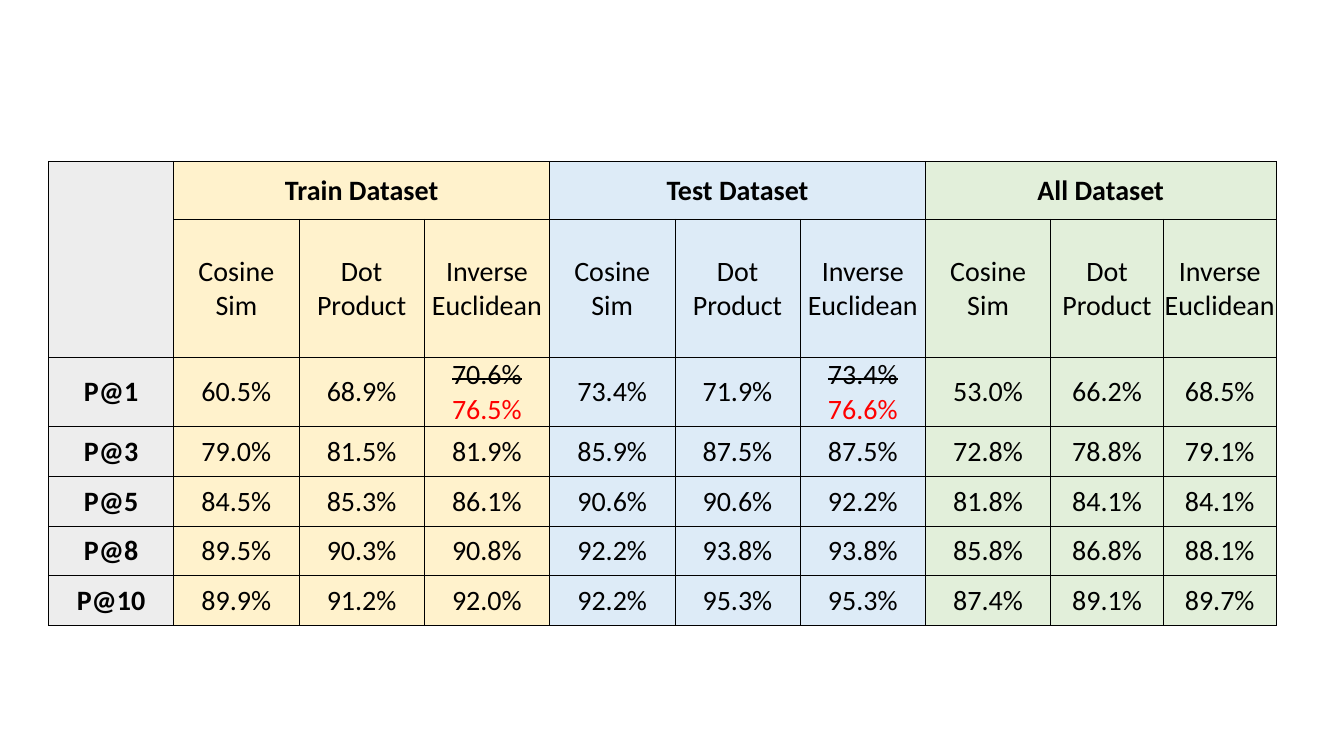
from dataclasses import dataclass

from lxml import etree
from pptx import Presentation
from pptx.dml.color import RGBColor
from pptx.enum.text import MSO_ANCHOR, PP_ALIGN
from pptx.oxml.ns import qn
from pptx.table import Table, _Cell
from pptx.util import Pt

MIDDLE = MSO_ANCHOR.MIDDLE
CENTER = PP_ALIGN.CENTER

BLACK = RGBColor(0x00, 0x00, 0x00)
RED = RGBColor(0xFF, 0x00, 0x00)
GRAY = RGBColor(0xED, 0xED, 0xED)
YELLOW = RGBColor(0xFF, 0xF2, 0xCC)
BLUE = RGBColor(0xDD, 0xEB, 0xF7)
GREEN = RGBColor(0xE2, 0xEF, 0xDA)

FONT_NAME = "Calibri"
FONT_SIZE = Pt(20)
INSET = Pt(0.6)
BORDER_WIDTH = Pt(0.5)
BLANK_LAYOUT = 6
TABLE_LEFT, TABLE_TOP, TABLE_HEIGHT = Pt(34.6), Pt(115.2), Pt(330.5)
COLUMN_WIDTHS = [Pt(89.5)] * 8 + [Pt(80.5)] * 2
ROW_HEIGHTS = [Pt(41.4), Pt(98.6)] + [Pt(35.5)] * 5


@dataclass(frozen=True)
class Dataset:
    name: str
    fill: RGBColor


@dataclass(frozen=True)
class Correction:
    old: str
    new: str


@dataclass(frozen=True)
class PrecisionRow:
    label: str
    values: list[str | Correction]


METRICS = ["Cosine Sim", "Dot Product", "Inverse Euclidean"]
DATASETS = [
    Dataset("Train Dataset", YELLOW),
    Dataset("Test Dataset", BLUE),
    Dataset("All Dataset", GREEN),
]
PRECISION_ROWS = [
    PrecisionRow("P@1", ["60.5%", "68.9%", Correction("70.6%", "76.5%"),
                         "73.4%", "71.9%", Correction("73.4%", "76.6%"),
                         "53.0%", "66.2%", "68.5%"]),
    PrecisionRow("P@3", ["79.0%", "81.5%", "81.9%", "85.9%", "87.5%", "87.5%",
                         "72.8%", "78.8%", "79.1%"]),
    PrecisionRow("P@5", ["84.5%", "85.3%", "86.1%", "90.6%", "90.6%", "92.2%",
                         "81.8%", "84.1%", "84.1%"]),
    PrecisionRow("P@8", ["89.5%", "90.3%", "90.8%", "92.2%", "93.8%", "93.8%",
                         "85.8%", "86.8%", "88.1%"]),
    PrecisionRow("P@10", ["89.9%", "91.2%", "92.0%", "92.2%", "95.3%", "95.3%",
                          "87.4%", "89.1%", "89.7%"]),
]


def add_borders(cell: _Cell) -> None:
    properties = cell._tc.get_or_add_tcPr()
    for side in ("a:lnL", "a:lnR", "a:lnT", "a:lnB"):
        line = etree.SubElement(properties, qn(side), w=str(int(BORDER_WIDTH)))
        fill = etree.SubElement(line, qn("a:solidFill"))
        etree.SubElement(fill, qn("a:srgbClr"), val=str(BLACK))


def format_cell(cell: _Cell, fill: RGBColor) -> None:
    add_borders(cell)
    cell.fill.solid()
    cell.fill.fore_color.rgb = fill
    cell.vertical_anchor = MIDDLE
    cell.margin_left = cell.margin_right = cell.margin_top = INSET
    cell.margin_bottom = 0


def write_cell(cell: _Cell, content: str | Correction, bold: bool = False) -> None:
    corrected = isinstance(content, Correction)
    cell.text = f"{content.old}\n{content.new}" if corrected else content
    paragraphs = cell.text_frame.paragraphs
    for paragraph in paragraphs:
        paragraph.alignment = CENTER
        paragraph.font.name = FONT_NAME
        paragraph.font.size = FONT_SIZE
        paragraph.font.bold = bold
        paragraph.font.color.rgb = BLACK
    if corrected:
        paragraphs[0].runs[0]._r.get_or_add_rPr().set("strike", "sngStrike")
        paragraphs[1].font.color.rgb = RED


def fill_table(table: Table) -> None:
    fills = [GRAY] + [dataset.fill for dataset in DATASETS for _ in METRICS]
    for row in table.rows:
        for cell, fill in zip(row.cells, fills):
            format_cell(cell, fill)

    table.cell(0, 0).merge(table.cell(1, 0))
    for index, dataset in enumerate(DATASETS):
        first = 1 + index * len(METRICS)
        table.cell(0, first).merge(table.cell(0, first + len(METRICS) - 1))
        write_cell(table.cell(0, first), dataset.name, bold=True)
        for offset, metric in enumerate(METRICS):
            write_cell(table.cell(1, first + offset), metric)

    for row_index, precision in enumerate(PRECISION_ROWS, start=2):
        write_cell(table.cell(row_index, 0), precision.label, bold=True)
        for column_index, value in enumerate(precision.values, start=1):
            write_cell(table.cell(row_index, column_index), value)


def main() -> None:
    presentation = Presentation()
    presentation.slide_width = Pt(960)
    presentation.slide_height = Pt(540)
    slide = presentation.slides.add_slide(presentation.slide_layouts[BLANK_LAYOUT])

    shape = slide.shapes.add_table(
        len(ROW_HEIGHTS), len(COLUMN_WIDTHS),
        TABLE_LEFT, TABLE_TOP, sum(COLUMN_WIDTHS), TABLE_HEIGHT,
    )
    table = shape.table
    table.first_row = False
    table.horz_banding = False
    for column, width in zip(table.columns, COLUMN_WIDTHS):
        column.width = width
    for row, height in zip(table.rows, ROW_HEIGHTS):
        row.height = height
    shape.height = TABLE_HEIGHT
    fill_table(table)

    presentation.save("out.pptx")


if __name__ == "__main__":
    main()
